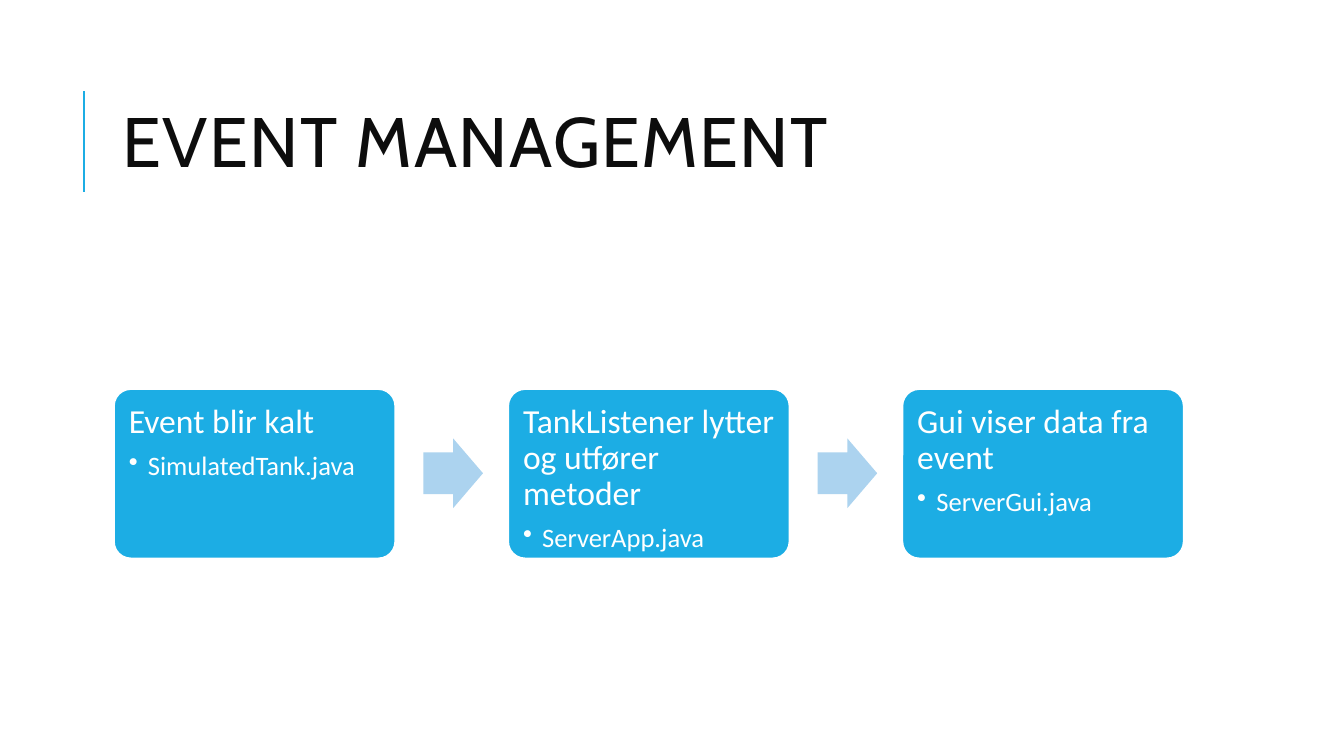
from lxml import etree
from pptx import Presentation, util as u
from pptx.dml.color import RGBColor
from pptx.enum import shapes, text
from pptx.oxml.ns import qn

PX = 9144
BLUE, PALE, WHITE, INK = "1CADE4", "ACD3EF", "FFFFFF", "0D0D0D"


def rgb(code):
    return RGBColor.from_string(code)


def put(item, **vals):
    for name, val in vals.items():
        setattr(item, name, val)


class Deck:
    """Holds the style and the current slide, and draws its elements."""

    def __init__(self, wide, high):
        self.pres = Presentation()
        put(self.pres, slide_width=wide * PX, slide_height=high * PX)
        self.slide = self.pres.slides.add_slide(self.pres.slide_layouts[6])
        self.items = self.slide.shapes

    def line(self, x1, y1, x2, y2, color, width):
        ends = [n * PX for n in (x1, y1, x2, y2)]
        rule = self.items.add_connector(shapes.MSO_CONNECTOR.STRAIGHT, *ends)
        rule.line.color.rgb = rgb(color)
        rule.line.width = u.Pt(width)
        etree.SubElement(rule._element.spPr, qn("a:effectLst"))

    def shape(self, kind, box, adjust, fill, edge=None):
        item = self.items.add_shape(kind, *[n * PX for n in box])
        item.shadow.inherit = False
        item.fill.solid()
        item.fill.fore_color.rgb = rgb(fill)
        for i, val in enumerate(adjust):
            item.adjustments[i] = val
        if edge:
            item.line.color.rgb = rgb(edge)
            item.line.width = u.Pt(1.25)
        else:
            item.line.fill.background()
        return item

    def para(self, par, words, size, color, face, **form):
        put(par, alignment=text.PP_ALIGN.LEFT, **form)
        run = par.add_run()
        run.text = words
        put(run.font, size=u.Pt(size), name=face)
        run.font.color.rgb = rgb(color)
        return run

    def title(self, words, box):
        frame = self.items.add_textbox(*[n * PX for n in box]).text_frame
        put(frame, word_wrap=True, vertical_anchor=text.MSO_ANCHOR.MIDDLE)
        run = self.para(frame.paragraphs[0], words, 50, INK, "Cabin",
                        line_spacing=0.8)
        run.font._element.set("spc", "100")

    def card(self, box, head, file):
        kind = shapes.MSO_SHAPE.ROUNDED_RECTANGLE
        frame = self.shape(kind, box, [0.1], BLUE, WHITE).text_frame
        put(frame, word_wrap=True, vertical_anchor=text.MSO_ANCHOR.TOP,
            margin_left=10 * PX, margin_top=10 * PX,
            margin_right=9 * PX, margin_bottom=10 * PX)
        self.para(frame.paragraphs[0], head, 24, WHITE, "Calibri",
                  line_spacing=0.9, space_after=u.Pt(8.4))
        item = frame.add_paragraph()
        self.para(item, file, 19, WHITE, "Calibri", level=1,
                  line_spacing=0.9, space_after=u.Pt(2.9))
        props = item._p.get_or_add_pPr()
        props.set("marL", str(19 * PX))
        props.set("indent", str(-19 * PX))
        etree.SubElement(props, qn("a:buChar"), char="•")

    def arrow(self, box):
        self.shape(shapes.MSO_SHAPE.RIGHT_ARROW, box, [0.6, 0.5], PALE)


def main():
    deck = Deck(1333, 750)
    deck.line(83, 190, 83, 90, BLUE, 1.5)
    deck.title("EVENT MANAGEMENT", (112, 64, 1063, 164))
    steps = [
        ("Event blir kalt", "SimulatedTank.java"),
        ("TankListener lytter og utfører metoder", "ServerApp.java"),
        ("Gui viser data fra event", "ServerGui.java"),
    ]
    left, pitch = 113, 391
    for i, (head, file) in enumerate(steps):
        x = left + i * pitch
        if i:
            deck.arrow((x - 84, 435, 59, 69))
        deck.card((x, 386, 279, 168), head, file)
    deck.pres.save("out.pptx")


if __name__ == "__main__":
    main()
